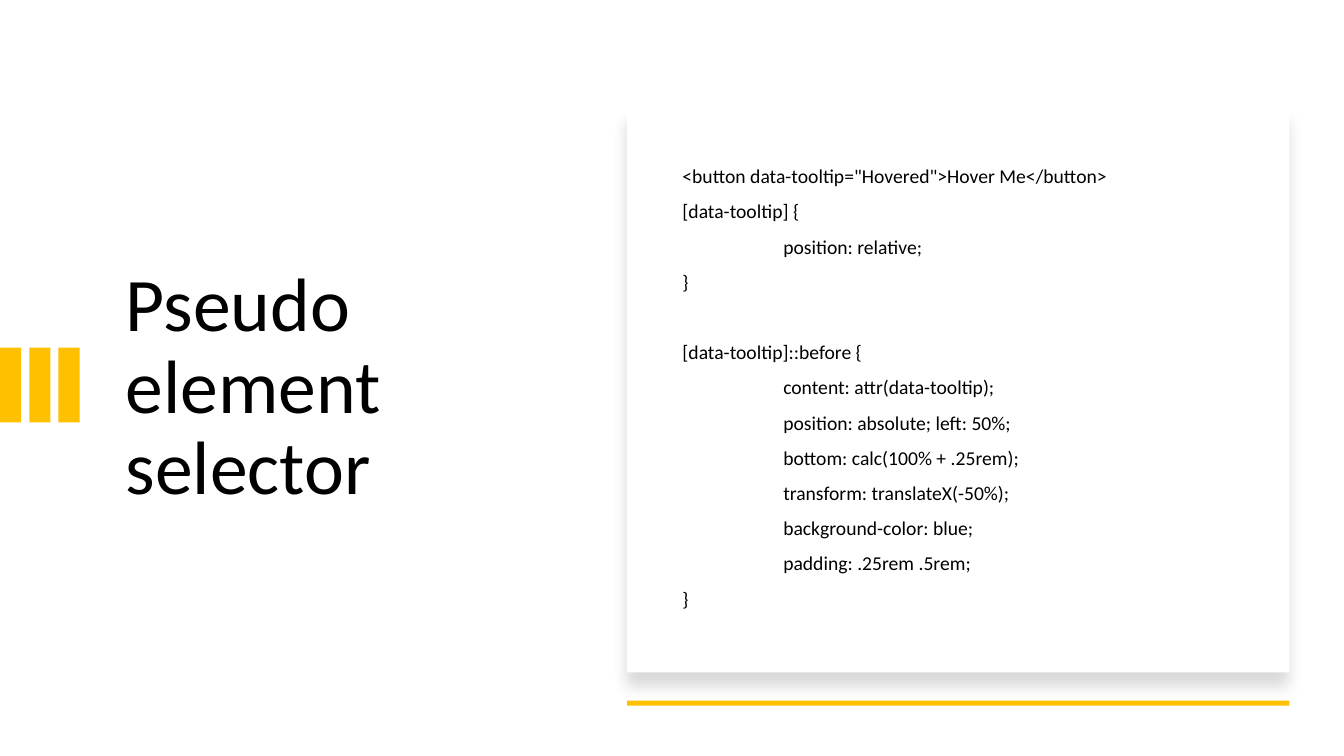
from lxml.etree import SubElement
from pptx import Presentation
from pptx.dml.color import RGBColor
from pptx.enum.shapes import MSO_SHAPE
from pptx.enum.text import MSO_ANCHOR
from pptx.oxml.ns import qn
from pptx.util import Inches, Pt

COLORS = {"card": "FFFFFF", "accent": "FFC000", "text": "000000"}
BODY_TOP, BODY_HEIGHT = 1.5, 4.71
CARD_LEFT, CARD_WIDTH = 6.22, 6.57
BAR_PITCH = 0.29
LINE_GAP, BLOCK_GAP = 10, 35.1
CODE_INDENT = 1
CODE_BLOCKS = [
    (
        ['<button data-tooltip="Hovered">Hover Me</button>', "[data-tooltip] {"],
        ["position: relative;"],
    ),
    (
        ["[data-tooltip]::before {"],
        [
            "content: attr(data-tooltip);",
            "position: absolute; left: 50%;",
            "bottom: calc(100% + .25rem);",
            "transform: translateX(-50%);",
            "background-color: blue;",
            "padding: .25rem .5rem;",
        ],
    ),
]


def add_rectangle(page, left, top, width, height, color):
    rectangle = page.shapes.add_shape(
        MSO_SHAPE.RECTANGLE, Inches(left), Inches(top), Inches(width), Inches(height)
    )
    rectangle.shadow.inherit = False
    rectangle.fill.solid()
    rectangle.fill.fore_color.rgb = RGBColor.from_string(COLORS[color])
    rectangle.line.fill.background()
    return rectangle


def add_text(page, left, width, lines, size):
    box = page.shapes.add_textbox(
        Inches(left), Inches(BODY_TOP), Inches(width), Inches(BODY_HEIGHT)
    )
    frame = box.text_frame
    frame.word_wrap = True
    frame.vertical_anchor = MSO_ANCHOR.MIDDLE
    for index, (text, space, indent) in enumerate(lines):
        para = frame.add_paragraph() if index else frame.paragraphs[0]
        para.add_run().text = text
        para.line_spacing = 0.9
        para.space_before = Pt(space)
        para.font.name = "Calibri"
        para.font.size = Pt(size)
        para.font.color.rgb = RGBColor.from_string(COLORS["text"])
        if indent:
            para._p.get_or_add_pPr().set("marL", str(Inches(indent)))


deck = Presentation()
deck.slide_width, deck.slide_height = Inches(13.33), Inches(7.5)
page = deck.slides.add_slide(deck.slide_layouts[6])

add_text(page, 1.15, 4.26, [("Pseudo element selector", 0, 0)], 54)

for column in range(3):
    add_rectangle(page, column * BAR_PITCH, 3.45, 0.21, 0.74, "accent")

card = add_rectangle(page, CARD_LEFT, 1.07, CARD_WIDTH, 5.6, "card")
effects = card._element.spPr.find(qn("a:effectLst"))
shadow = SubElement(
    effects, qn("a:outerShdw"), blurRad=str(Pt(11)), dist=str(Pt(10)),
    dir="5400000", algn="t", rotWithShape="0",
)
shadow_color = SubElement(shadow, qn("a:srgbClr"), val=COLORS["text"])
SubElement(shadow_color, qn("a:alpha"), val="15000")

code_lines = []
for opening, declarations in CODE_BLOCKS:
    first_gap = BLOCK_GAP if code_lines else LINE_GAP
    code_lines.append((opening[0], first_gap, 0))
    code_lines += [(line, LINE_GAP, 0) for line in opening[1:]]
    code_lines += [(line, LINE_GAP, CODE_INDENT) for line in declarations]
    code_lines.append(("}", LINE_GAP, 0))
add_text(page, 6.67, 5.71, code_lines, 14)

add_rectangle(page, CARD_LEFT, 6.95, CARD_WIDTH, 0.05, "accent")

deck.save("out.pptx")
